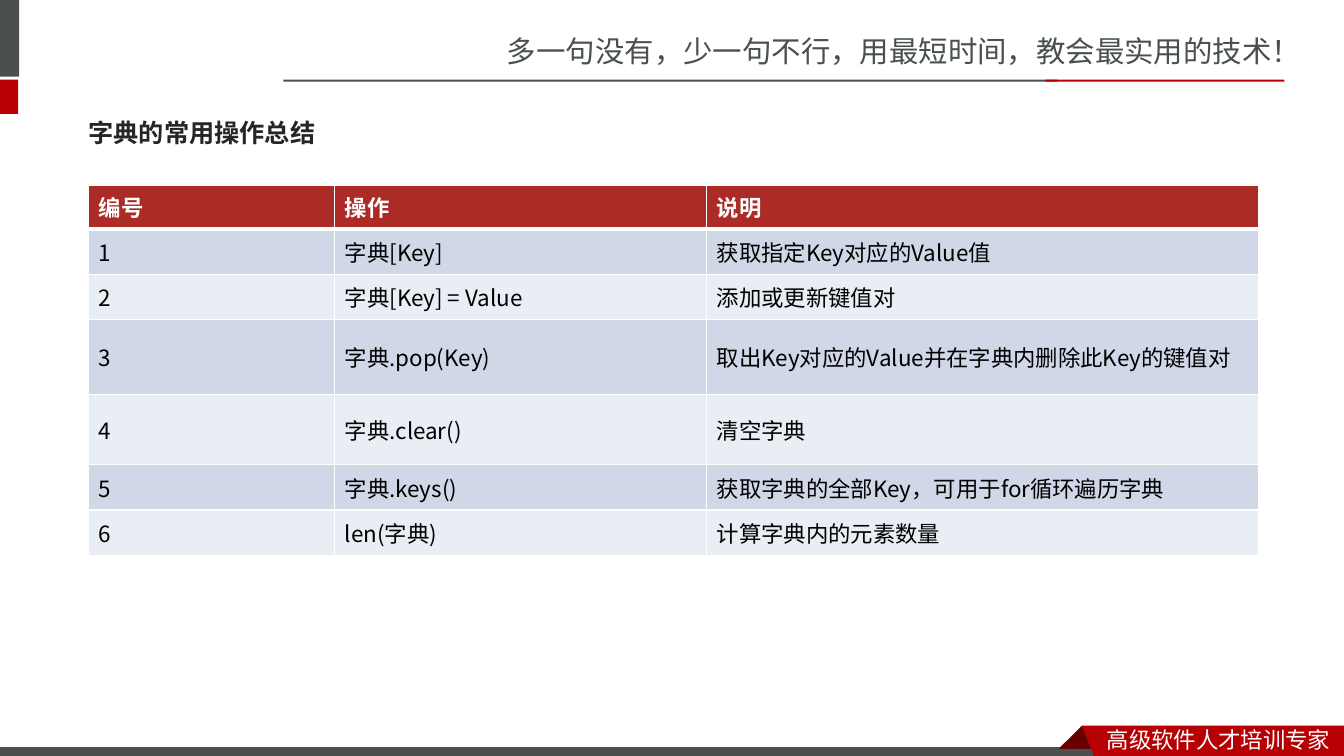
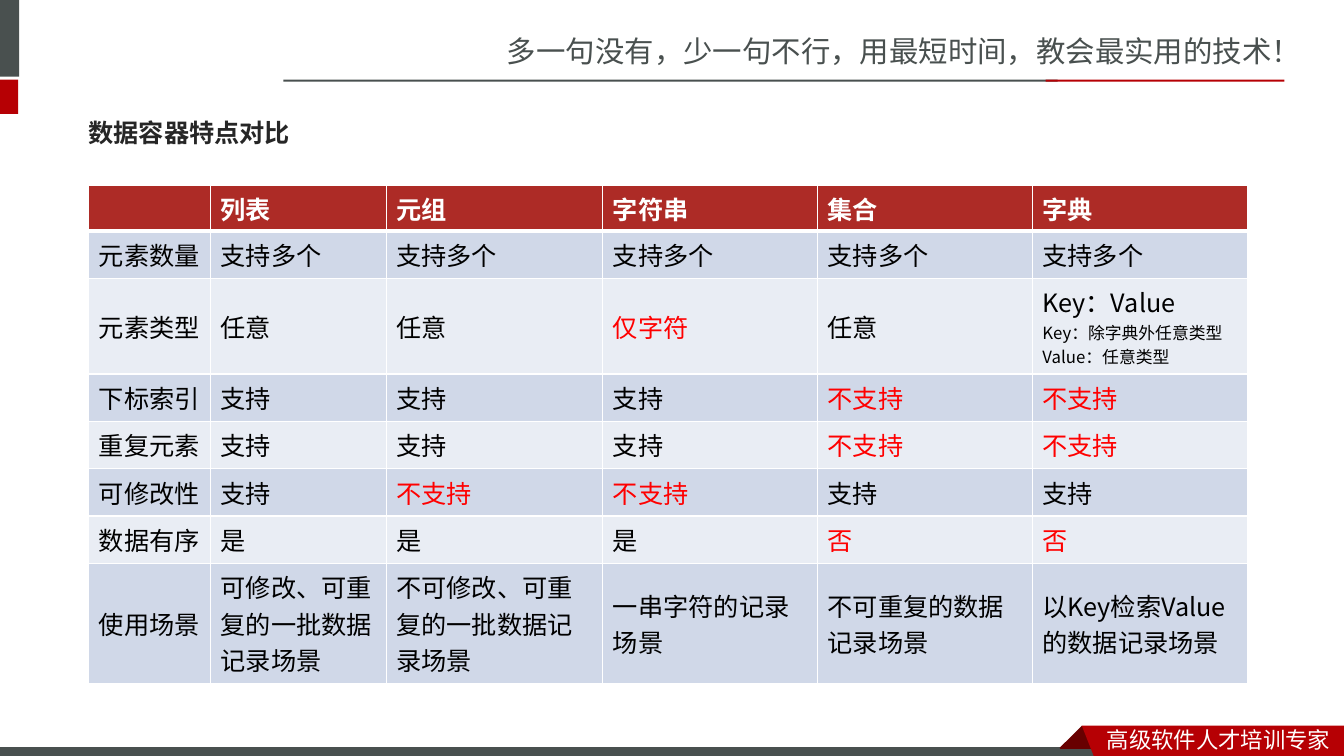
"""Build two slides that sum up dictionary operations and data containers."""
from lxml.etree import SubElement
from pptx import Presentation
from pptx.dml.color import RGBColor
from pptx.enum.shapes import MSO_SHAPE as Shape
from pptx.enum.text import MSO_ANCHOR as Anchor
from pptx.oxml import parse_xml
from pptx.oxml.ns import nsdecls, qn
from pptx.util import Pt

PX = 9144
GREY, RED, DARK_RED, WHITE = "49504F", "B60004", "680000", "FFFFFF"
TITLE, BLACK, WARNING = "262626", "000000", "FF0000"
HEADER, BANDS = "AD2B26", ["E9EDF4", "D0D8E8"]
FRAME_FONT, BODY_FONT = "Noto Sans CJK SC", "Noto Sans CJK JP"
WARNINGS = {"仅字符", "不支持", "否"}
HEADER_RULE = (f'<a:lnB {nsdecls("a")} w="{Pt(3)}"><a:solidFill>'
               f'<a:srgbClr val="{WHITE}"/></a:solidFill></a:lnB>')

FRAME_TEXTS = [
    ((493, 28, 841, 47), "多一句没有，少一句不行，用最短时间，教会最实用的技术！", 21, GREY),
    ((1088, 715, 245, 37), "高级软件人才培训专家", 16, WHITE),
]
BARS = [
    ((-6, 0, 25, 76), GREY),
    ((-6, 79, 24, 34), RED),
    ((281, 79, 768, 2), GREY),
    ((1037, 79, 237, 2), RED),
    ((-1, 741, 1100, 12), GREY),
]
RIBBON = [
    ([(1073, 720), (1095, 742), (1094, 743), (1052, 743), (1051, 742)], DARK_RED),
    ([(1073, 720), (1333, 720), (1333, 754), (1086, 753)], RED),
]
PAGES = [
    {
        "title": "字典的常用操作总结",
        "size": 16,
        "columns": [244, 369, 547],
        "heights": [43, 45, 45, 74, 70, 45, 45],
        "rows": [
            ["编号", "操作", "说明"],
            ["1", "字典[Key]", "获取指定Key对应的Value值"],
            ["2", "字典[Key] = Value", "添加或更新键值对"],
            ["3", "字典.pop(Key)", "取出Key对应的Value并在字典内删除此Key的键值对"],
            ["4", "字典.clear()", "清空字典"],
            ["5", "字典.keys()", "获取字典的全部Key，可用于for循环遍历字典"],
            ["6", "len(字典)", "计算字典内的元素数量"],
        ],
    },
    {
        "title": "数据容器特点对比",
        "size": 18,
        "columns": [121, 174, 215, 213, 213, 213],
        "heights": [45, 47, 95, 47, 47, 47, 47, 119],
        "rows": [
            ["", "列表", "元组", "字符串", "集合", "字典"],
            ["元素数量"] + ["支持多个"] * 5,
            ["元素类型", "任意", "任意", "仅字符", "任意",
             "Key：Value\nKey：除字典外任意类型\nValue：任意类型"],
            ["下标索引", "支持", "支持", "支持", "不支持", "不支持"],
            ["重复元素", "支持", "支持", "支持", "不支持", "不支持"],
            ["可修改性", "支持", "不支持", "不支持", "支持", "支持"],
            ["数据有序", "是", "是", "是", "否", "否"],
            ["使用场景", "可修改、可重复的一批数据记录场景",
             "不可修改、可重复的一批数据记录场景", "一串字符的记录场景",
             "不可重复的数据记录场景", "以Key检索Value的数据记录场景"],
        ],
    },
]


def paint(target, colour):
    target.fill.solid()
    target.fill.fore_color.rgb = RGBColor.from_string(colour)


def write(frame, text, size, colour, face, bold=False, detail_size=12):
    frame.word_wrap = True
    frame.text = text
    for index, paragraph in enumerate(frame.paragraphs):
        font = paragraph.font
        font.size = Pt(detail_size if index else size)
        font.bold = bold
        paint(font, colour)
        font.name = face
        SubElement(font._element, qn("a:ea"), typeface=face)


deck = Presentation()
deck.slide_width, deck.slide_height = 1333 * PX, 750 * PX

for page in PAGES:
    slide = deck.slides.add_slide(deck.slide_layouts[6])
    shapes = slide.shapes

    for place, colour in BARS:
        bar = shapes.add_shape(Shape.RECTANGLE, *[length * PX for length in place])
        bar.shadow.inherit = False
        paint(bar, colour)
        bar.line.fill.background()
    bar.line.width = Pt(0.75)
    paint(bar.line, WHITE)

    for points, colour in RIBBON:
        builder = shapes.build_freeform(*points[0], scale=PX)
        builder.add_line_segments(points[1:], close=True)
        fold = builder.convert_to_shape()
        fold.shadow.inherit = False
        paint(fold, colour)
        fold.line.fill.background()

    for place, text, size, colour in FRAME_TEXTS:
        box = shapes.add_textbox(*[length * PX for length in place])
        write(box.text_frame, text, size, colour, FRAME_FONT)

    title = shapes.add_textbox(78 * PX, 103 * PX, 1170 * PX, 57 * PX)
    title.text_frame.vertical_anchor = Anchor.MIDDLE
    write(title.text_frame, page["title"], 18, TITLE, BODY_FONT, bold=True)

    rows, columns, heights = page["rows"], page["columns"], page["heights"]
    table = shapes.add_table(len(rows), len(columns), 88 * PX, 184 * PX,
                             sum(columns) * PX, sum(heights) * PX).table
    for column, width in zip(table.columns, columns):
        column.width = width * PX
    for row_index, (row, height, texts) in enumerate(zip(table.rows, heights, rows)):
        row.height = height * PX
        is_header = row_index == 0
        for cell, text in zip(row.cells, texts):
            paint(cell, HEADER if is_header else BANDS[row_index % 2])
            cell.vertical_anchor = Anchor.MIDDLE
            body_colour = WARNING if text in WARNINGS else BLACK
            write(cell.text_frame, text, page["size"],
                  WHITE if is_header else body_colour, BODY_FONT, bold=is_header)
            if is_header:
                cell._tc.tcPr.insert(0, parse_xml(HEADER_RULE))

deck.save("out.pptx")
